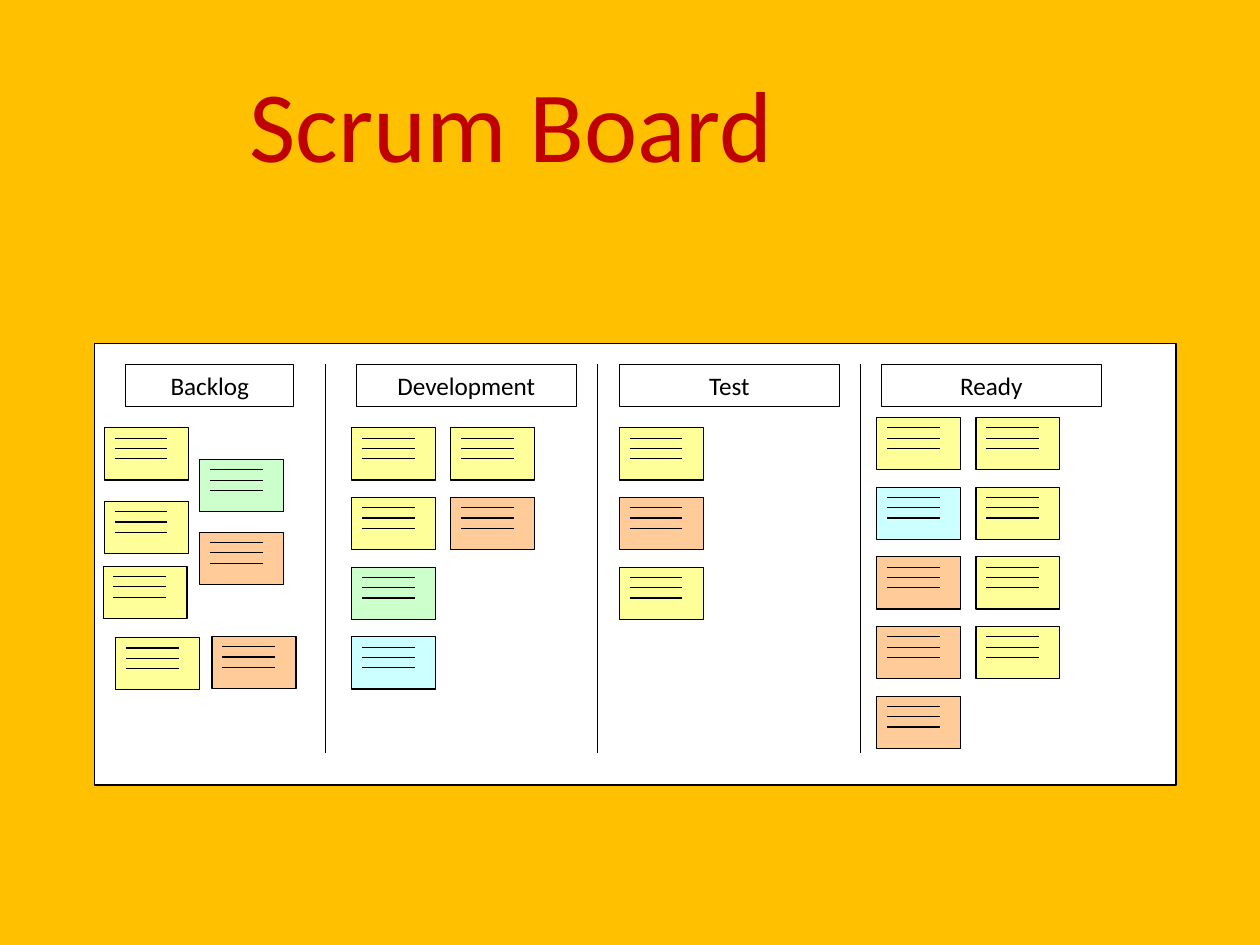
from dataclasses import dataclass

from lxml import etree
from pptx import Presentation
from pptx import util as u
from pptx.dml import color
from pptx.enum import shapes, text
from pptx.oxml import ns


@dataclass(frozen=True)
class Theme:
    font: str = "Calibri"
    title_size: int = 64
    header_size: int = 16
    line_width: float = 0.75
    page: str = "FFC000"
    title: str = "C00000"
    ink: str = "000000"
    board: str = "FFFFFF"
    yellow: str = "FFFF99"
    orange: str = "FFCC99"
    green: str = "CCFFCC"
    blue: str = "CCFFFF"


@dataclass(frozen=True)
class Box:
    left: float
    top: float
    width: float
    height: float

    def inner(self, left, top, width, height):
        return Box(self.left + left, self.top + top, width, height)

    def lengths(self):
        return [u.Cm(value) for value in (self.left, self.top, self.width, self.height)]


THEME = Theme()
Y, O, G, B = THEME.yellow, THEME.orange, THEME.green, THEME.blue

BOARD = Box(2.11, 7.7, 24.23, 9.88)
TITLE = Box(4.09, 1.22, 14.71, 3.53)
HEADER_TOP, HEADER_HEIGHT = 0.46, 0.94
DIVIDERS, DIVIDER_HEIGHT = (5.18, 11.28, 17.17), 8.71
NOTE_WIDTH, NOTE_HEIGHT = 1.88, 1.17
COLUMN_STEP, ROW_STEP = 2.22, 1.56
NOTE_INSET, NOTE_LINE = 0.23, 1.18

HEADERS = [
    ("Backlog", 0.71, 3.76),
    ("Development", 5.87, 4.93),
    ("Test", 11.76, 4.93),
    ("Ready", 17.63, 4.93),
]
BACKLOG_NOTES = [
    (0.23, 1.88, Y), (0.23, 3.53, Y), (0.2, 4.98, Y), (0.48, 6.58, Y),
    (2.36, 2.59, G), (2.36, 4.22, O), (2.64, 6.55, O),
]
NOTE_GRIDS = [
    (5.77, 1.88, [[Y, Y], [Y, O], [G], [B]]),
    (11.76, 1.88, [[Y], [O], [Y]]),
    (17.53, 1.65, [[Y, Y], [B, Y], [O, Y], [O, Y], [O]]),
]


def rgb(value):
    return color.RGBColor.from_string(value)


def format_text(para, size, ink):
    para.alignment = text.PP_ALIGN.CENTER
    for span in para.runs:
        span.font.name = THEME.font
        span.font.size = u.Pt(size)
        span.font.color.rgb = rgb(ink)


def add_panel(parent, box, fill):
    panel = parent.shapes.add_shape(shapes.MSO_SHAPE.RECTANGLE, *box.lengths())
    panel.shadow.inherit = False
    panel.fill.solid()
    panel.fill.fore_color.rgb = rgb(fill)
    panel.line.color.rgb = rgb(THEME.ink)
    panel.line.width = u.Pt(THEME.line_width)
    return panel


def add_line(parent, box):
    left, top, width, height = box.lengths()
    line = parent.shapes.add_connector(
        shapes.MSO_CONNECTOR.STRAIGHT, left, top, left + width, top + height)
    line.line.color.rgb = rgb(THEME.ink)
    line.line.width = u.Pt(THEME.line_width)
    etree.SubElement(line._element.spPr, ns.qn("a:effectLst"))


def add_title(page, box):
    title = page.shapes.title
    title.left, title.top, title.width, title.height = box.lengths()
    frame = title.text_frame
    frame.text = "Scrum Board"
    frame.word_wrap = True
    frame.auto_size = text.MSO_AUTO_SIZE.NONE
    frame.vertical_anchor = text.MSO_ANCHOR.MIDDLE
    frame.margin_left = frame.margin_right = frame.margin_top = frame.margin_bottom = 0
    para = frame.paragraphs[0]
    para.line_spacing = 0.8
    format_text(para, THEME.title_size, THEME.title)


def add_header(page, box, label):
    frame = add_panel(page, box, THEME.board).text_frame
    frame.text = label
    frame.vertical_anchor = text.MSO_ANCHOR.MIDDLE
    frame.margin_top = frame.margin_bottom = 0
    format_text(frame.paragraphs[0], THEME.header_size, THEME.ink)


def add_note(page, box, fill):
    note = page.shapes.add_group_shape()
    add_panel(note, box, fill)
    for row in range(1, 4):
        add_line(note, box.inner(NOTE_INSET, row * NOTE_INSET, NOTE_LINE, 0))


def add_note_grid(page, box, rows):
    for row, fills in enumerate(rows):
        for column, fill in enumerate(fills):
            place = box.inner(column * COLUMN_STEP, row * ROW_STEP, NOTE_WIDTH, NOTE_HEIGHT)
            add_note(page, place, fill)


def add_board(page, box):
    add_panel(page, box, THEME.board)
    for label, left, width in HEADERS:
        add_header(page, box.inner(left, HEADER_TOP, width, HEADER_HEIGHT), label)
    for left in DIVIDERS:
        add_line(page, box.inner(left, HEADER_TOP, 0, DIVIDER_HEIGHT))
    for left, top, fill in BACKLOG_NOTES:
        add_note(page, box.inner(left, top, NOTE_WIDTH, NOTE_HEIGHT), fill)
    for left, top, rows in NOTE_GRIDS:
        grid = box.inner(left, top, 2 * COLUMN_STEP, len(rows) * ROW_STEP)
        add_note_grid(page, grid, rows)


def main():
    deck = Presentation()
    deck.slide_width, deck.slide_height = u.Cm(28.22), u.Cm(21.16)
    page = deck.slides.add_slide(deck.slide_layouts.get_by_name("Title Only"))
    page.background.fill.solid()
    page.background.fill.fore_color.rgb = rgb(THEME.page)
    add_board(page, BOARD)
    add_title(page, TITLE)
    deck.save("out.pptx")


if __name__ == "__main__":
    main()
